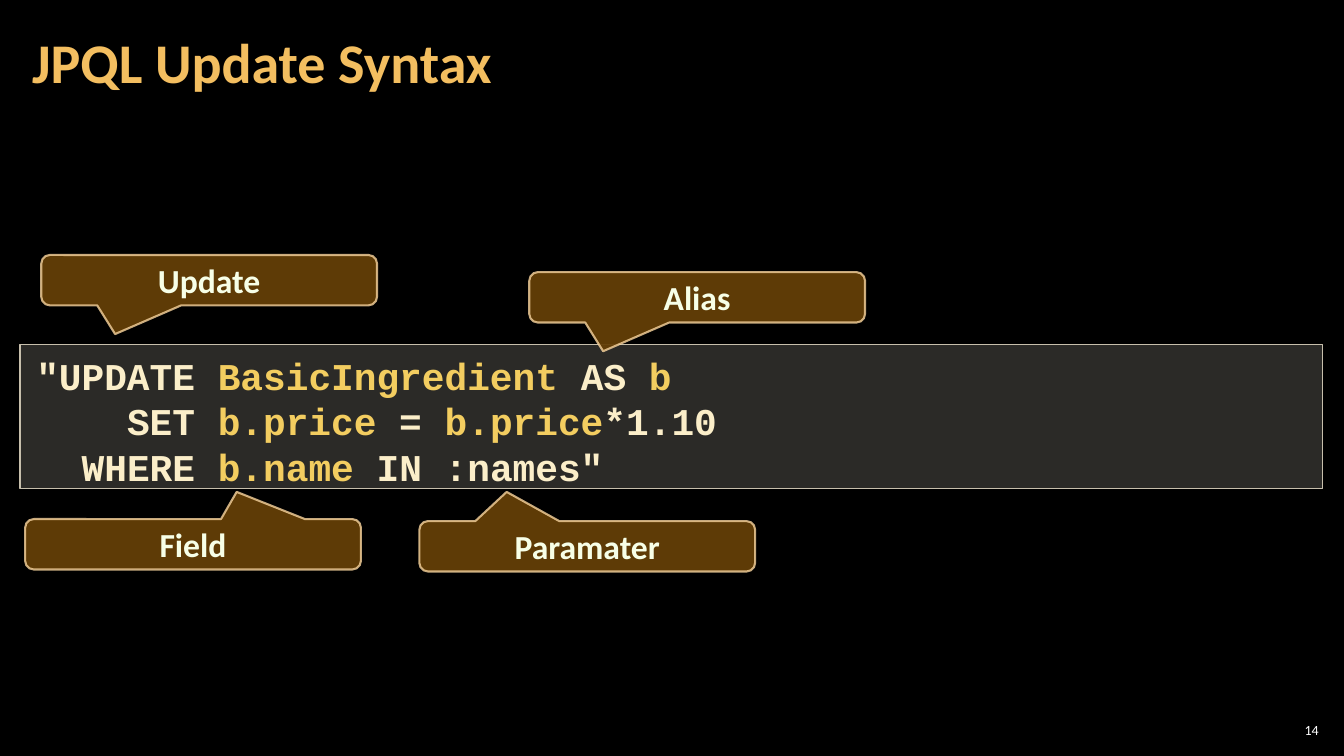
from lxml import etree
from pptx import Presentation
from pptx.dml.color import RGBColor
from pptx.enum import shapes, text
from pptx.oxml import ns
from pptx.util import Inches, Pt

BLACK = RGBColor(0x00, 0x00, 0x00)
WHITE = RGBColor(0xFF, 0xFF, 0xFF)
TITLE_GOLD = RGBColor(0xF3, 0xBE, 0x60)
CODE_FILL = RGBColor(0xD9, 0xD5, 0xC7)
CODE_LINE = RGBColor(0xC7, 0xBF, 0xAC)
CREAM = RGBColor(0xFB, 0xEE, 0xC9)
YELLOW = RGBColor(0xF3, 0xCD, 0x60)
BROWN = RGBColor(0x64, 0x3F, 0x07)
CALLOUT_LINE = RGBColor(0xF8, 0xD4, 0x9E)
CALLOUT_TEXT = RGBColor(0xF7, 0xFF, 0xE7)

TITLE = "JPQL Update Syntax"
PAGE_NUMBER = "14"
CODE_LINES = [
    (0, [('"UPDATE ', CREAM), ("BasicIngredient", YELLOW), (" AS ", CREAM), ("b", YELLOW)]),
    (4, [("SET ", CREAM), ("b.price", YELLOW), (" = ", CREAM), ("b.price", YELLOW),
         ("*1.10", CREAM)]),
    (2, [("WHERE ", CREAM), ("b.name", YELLOW), (' IN :names"', CREAM)]),
]
CALLOUTS = [
    ("Alias", 5.25, 2.7, -0.28, 1.07),
    ("Field", 0.25, 5.15, 0.13, -1.04),
    ("Paramater", 4.16, 5.17, -0.24, -1.08),
    ("Update", 0.41, 2.53, -0.28, 1.07),
]
CALLOUT_SIZE = (3.33, 0.5)
CODE_SIZE = 27
CHARACTER_WIDTH = 0.6 * CODE_SIZE


def set_font(font, name, size, color, bold=True):
    font.name, font.size, font.bold = name, Pt(size), bold
    font.color.rgb = color


def set_opacity(fill_parent, percent):
    color = fill_parent.find(ns.qn("a:solidFill")).find(ns.qn("a:srgbClr"))
    etree.SubElement(color, ns.qn("a:alpha")).set("val", str(percent * 1000))


def set_frame(shape, anchor, side, top, bottom):
    frame = shape.text_frame
    frame.word_wrap = True
    frame.vertical_anchor = anchor
    frame.margin_left = frame.margin_right = Inches(side)
    frame.margin_top, frame.margin_bottom = Inches(top), Inches(bottom)
    return frame


def add_panel(slide, kind, box, fill, fill_opacity, line, line_width):
    shape = slide.shapes.add_shape(kind, *map(Inches, box))
    shape.shadow.inherit = False
    shape.fill.solid()
    shape.fill.fore_color.rgb = fill
    set_opacity(shape._element.spPr, fill_opacity)
    shape.line.color.rgb = line
    shape.line.width = Pt(line_width)
    return shape


def add_label(slide, content, box, side, size, color, align, bold):
    label = slide.shapes.add_textbox(*map(Inches, box))
    paragraph = set_frame(label, text.MSO_ANCHOR.MIDDLE, side, 0.04, 0.04).paragraphs[0]
    paragraph.text = content
    paragraph.alignment = align
    set_font(paragraph.font, "Calibri", size, color, bold)
    return paragraph


def add_code(slide):
    panel = add_panel(slide, shapes.MSO_SHAPE.RECTANGLE, (0.2, 3.42, 12.92, 1.43),
                      CODE_FILL, 20, CODE_LINE, 1)
    frame = set_frame(panel, text.MSO_ANCHOR.TOP, 0.16, 0.08, 0)
    for index, (indent, runs) in enumerate(CODE_LINES):
        paragraph = frame.add_paragraph() if index else frame.paragraphs[0]
        paragraph.alignment = text.PP_ALIGN.LEFT
        paragraph.line_spacing = 1.0
        paragraph._p.get_or_add_pPr().set("marL", str(int(Pt(indent * CHARACTER_WIDTH))))
        for content, color in runs:
            run = paragraph.add_run()
            run.text = content
            set_font(run.font, "Courier New", CODE_SIZE, color)


def add_callout(slide, label, left, top, tip_x, tip_y):
    callout = add_panel(slide, shapes.MSO_SHAPE.ROUNDED_RECTANGULAR_CALLOUT,
                        (left, top, *CALLOUT_SIZE), BROWN, 95, CALLOUT_LINE, 1.5)
    set_opacity(callout.line._get_or_add_ln(), 80)
    for index, value in enumerate((tip_x, tip_y, 0.17)):
        callout.adjustments[index] = value
    paragraph = set_frame(callout, text.MSO_ANCHOR.MIDDLE, 0.1, 0.05, 0.05).paragraphs[0]
    paragraph.text = label
    paragraph.alignment = text.PP_ALIGN.CENTER
    set_font(paragraph.font, "Calibri", 24, CALLOUT_TEXT)


def main():
    presentation = Presentation()
    presentation.slide_width, presentation.slide_height = Inches(13.33), Inches(7.5)
    slide = presentation.slides.add_slide(presentation.slide_layouts[6])
    slide.background.fill.solid()
    slide.background.fill.fore_color.rgb = BLACK

    add_label(slide, PAGE_NUMBER, (12.65, 7.14, 0.47, 0.21), 0.04, 10, WHITE,
              text.PP_ALIGN.RIGHT, False)
    title = add_label(slide, TITLE, (0.2, 0.04, 10.47, 1.21), 0.12, 40, TITLE_GOLD,
                      text.PP_ALIGN.LEFT, True)
    title.line_spacing = 0.9
    add_code(slide)
    for callout in CALLOUTS:
        add_callout(slide, *callout)
    presentation.save("out.pptx")


if __name__ == "__main__":
    main()
